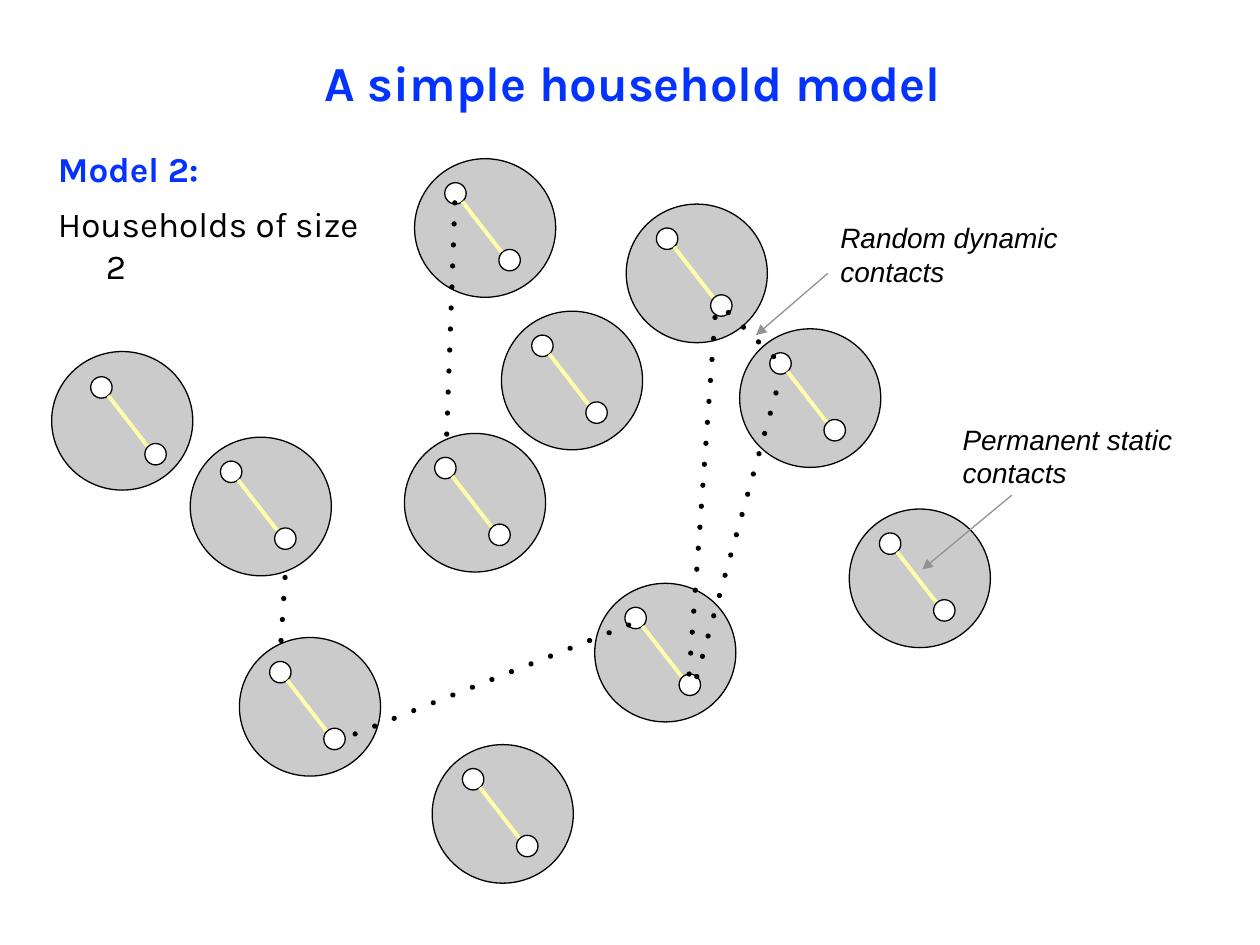
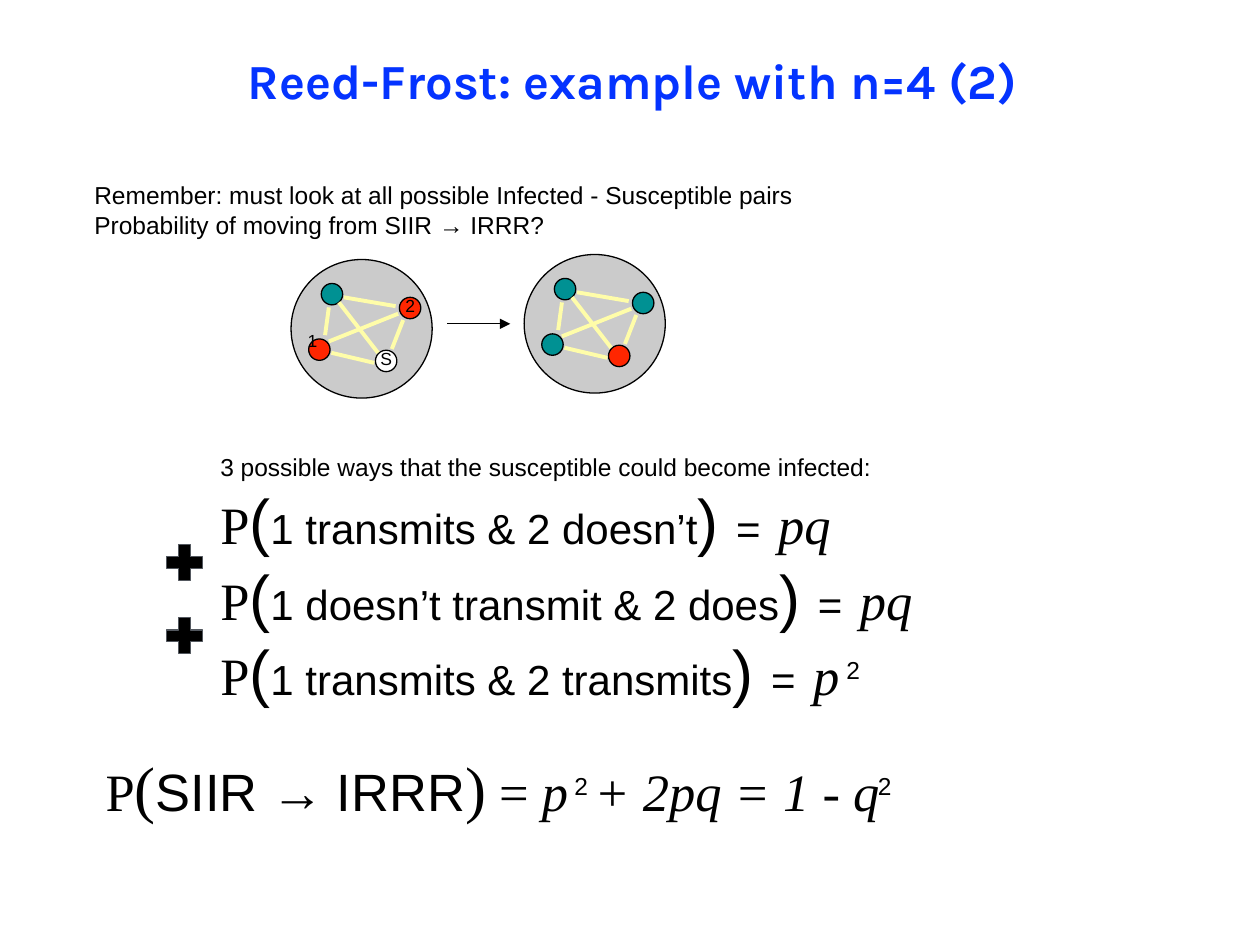
from dataclasses import dataclass, replace

from lxml.etree import SubElement
from pptx import Presentation
from pptx.dml.color import RGBColor
from pptx.enum.shapes import MSO_CONNECTOR, MSO_SHAPE
from pptx.enum.text import MSO_ANCHOR, PP_ALIGN
from pptx.oxml.ns import qn
from pptx.util import Inches, Pt


@dataclass(frozen=True)
class Style:
    size: float
    font: str = "Arial"
    color: str = "000000"
    bold: bool = False
    italic: bool = False
    spacing: float = 0  # extra points after each character


class Theme:
    # Colours
    blue, black, white = "0433FF", "000000", "FFFFFF"
    household, tie, pointer = "CBCBCB", "FFFDA9", "929292"
    recovered, infected, plus_edge = "009193", "FF2600", "53585F"
    # Line widths
    thin, tie_width, dot_width = 0.75, 2.25, 3
    # Type
    title = Style(28, "Karla", blue, bold=True)
    heading = Style(20, "Karla", blue, bold=True)
    lead = Style(20, "Karla")
    note = Style(16, italic=True)
    body = Style(14)
    label = Style(10)
    event = Style(24)
    bracket = Style(36)
    formula = Style(30, "Times New Roman")
    variable = replace(formula, italic=True)
    result = Style(30)
    result_bracket = Style(36, "Times New Roman")


# Household geometry, relative to its top left corner
HOUSEHOLD_SIZE = (1.12, 1.1)
MEMBER_SIZE = (0.17, 0.17)
MEMBERS = [(0.24, 0.19), (0.67, 0.72), (0.14, 0.63), (0.86, 0.3)]
TIES = [
    ((0.38, 0.34), (0.69, 0.74)),
    ((0.30, 0.65), (0.85, 0.43)),
    ((0.32, 0.74), (0.66, 0.82)),
    ((0.30, 0.38), (0.27, 0.60)),
    ((0.89, 0.48), (0.80, 0.71)),
    ((0.83, 0.37), (0.42, 0.30)),
]


def add_text(slide, box, paragraphs, style=Theme.body, align=PP_ALIGN.LEFT,
             inset=0.1, margin=0, indent=0, wrap=True):
    """Each paragraph is a string or a list of (text, style) runs."""
    frame = slide.shapes.add_textbox(*map(Inches, box)).text_frame
    frame.word_wrap = wrap
    frame.vertical_anchor = MSO_ANCHOR.TOP
    frame.margin_left = frame.margin_right = Inches(inset)
    frame.margin_top = frame.margin_bottom = Inches(inset)
    for index, content in enumerate(paragraphs):
        paragraph = frame.add_paragraph() if index else frame.paragraphs[0]
        paragraph.alignment = align
        if margin:
            properties = paragraph._p.get_or_add_pPr()
            properties.set("marL", str(Inches(margin)))
            properties.set("indent", str(Inches(indent)))
        runs = [(content, style)] if isinstance(content, str) else content
        for words, run_style in runs:
            run = paragraph.add_run()
            run.text = words
            run.font.size = Pt(run_style.size)
            run.font.name = run_style.font
            run.font.bold = run_style.bold
            run.font.italic = run_style.italic
            run.font.color.rgb = RGBColor.from_string(run_style.color)
            if run_style.spacing:
                run._r.get_or_add_rPr().set("spc", str(int(run_style.spacing * 100)))


def add_shape(slide, kind, box, fill, edge=Theme.black):
    shape = slide.shapes.add_shape(kind, *map(Inches, box))
    shape.shadow.inherit = False
    shape.fill.solid()
    shape.fill.fore_color.rgb = RGBColor.from_string(fill)
    shape.line.color.rgb = RGBColor.from_string(edge)
    shape.line.width = Pt(Theme.thin)
    return shape


def add_line(slide, start, end, color, width, dotted=False, arrow=False):
    connector = slide.shapes.add_connector(
        MSO_CONNECTOR.STRAIGHT, *map(Inches, (*start, *end)))
    connector.line.color.rgb = RGBColor.from_string(color)
    connector.line.width = Pt(width)
    properties = connector._element.spPr
    line = properties.find(qn("a:ln"))
    if dotted:
        line.set("cap", "rnd")
        SubElement(line, qn("a:prstDash")).set("val", "dot")
    if arrow:
        SubElement(line, qn("a:tailEnd")).set("type", "triangle")
    SubElement(properties, qn("a:effectLst"))


def add_title(slide, title, top):
    add_text(slide, (0, top, 10, 0.58), [title], Theme.title,
             align=PP_ALIGN.CENTER, inset=0.06, margin=0.04)


def add_members(slide, left, top, colors, ties):
    for (x, y), color in zip(MEMBERS, colors):
        add_shape(slide, MSO_SHAPE.OVAL, (left + x, top + y, *MEMBER_SIZE), color)
    for (x1, y1), (x2, y2) in ties:
        add_line(slide, (left + x1, top + y1), (left + x2, top + y2),
                 Theme.tie, Theme.tie_width)


def add_household(slide, left, top, colors, ties, shift=(0, 0)):
    add_shape(slide, MSO_SHAPE.OVAL, (left, top, *HOUSEHOLD_SIZE), Theme.household)
    add_members(slide, left + shift[0], top + shift[1], colors, ties)


def add_pairs(slide, places):
    for left, top, *shift in places:
        add_household(slide, left, top, [Theme.white] * 2, TIES[:1], shift or (0, 0))


def add_contacts(slide, contacts):
    for start, end in contacts:
        add_line(slide, start, end, Theme.black, Theme.dot_width, dotted=True)


def add_callout(slide, left, top, words, start, end):
    add_text(slide, (left, top, 2.26, 0.6), [words], Theme.note,
             inset=0.06, margin=0.04)
    add_line(slide, start, end, Theme.pointer, Theme.thin, arrow=True)


def build_household_model(slide):
    add_title(slide, "A simple household model", 0.36)
    add_text(slide, (0.36, 1.11, 1.71, 0.44), ["Model 2:"], Theme.heading,
             inset=0.06, margin=0.04)
    add_text(slide, (0.36, 1.55, 2.6, 0.44), ["Households of size 2"], Theme.lead,
             inset=0.06, margin=0.42, indent=-0.38)

    # Households and contacts, from back to front
    add_pairs(slide, [(0.41, 2.79, 0.07, 0.01), (3.98, 2.47), (3.21, 3.44),
                      (5.87, 2.61), (4.97, 1.62)])
    add_contacts(slide, [((2.22, 5.25), (2.28, 4.31)),
                         ((6.14, 2.83), (5.76, 2.46))])
    add_pairs(slide, [(3.29, 1.26), (1.51, 3.47), (3.43, 5.91),
                      (4.72, 4.63), (1.9, 5.06), (6.74, 4.04)])
    add_contacts(slide, [((3.61, 1.61), (3.54, 3.61)),
                         ((5.47, 5.35), (5.68, 2.45)),
                         ((5.53, 5.37), (6.2, 2.97)),
                         ((4.99, 4.96), (2.73, 5.86))])

    # Callouts
    add_callout(slide, 6.57, 1.69, "Random dynamic contacts", (6.57, 2.17), (6, 2.66))
    add_callout(slide, 7.54, 3.29, "Permanent static contacts", (8.03, 3.93), (7.32, 4.52))


def add_transition(slide, left, top):
    """SIIR household, arrow, IRRR household."""
    add_household(slide, left, top + 0.04,
                  [Theme.recovered, Theme.white, Theme.infected, Theme.infected], TIES)
    add_line(slide, (left + 1.24, top + 0.55), (left + 1.74, top + 0.55),
             Theme.black, Theme.thin, arrow=True)
    add_household(slide, left + 1.85, top,
                  [Theme.recovered, Theme.infected, Theme.recovered, Theme.recovered], TIES)
    for words, x, y, width, height in [("1", 0.09, 0.58, 0.14, 0.1),
                                       ("2", 0.81, 0.24, 0.27, 0.23),
                                       ("S", 0.61, 0.66, 0.27, 0.23)]:
        add_text(slide, (left + x, top + y, width, height), [words],
                 Theme.label, wrap=False)


def add_exponent(slide, left, top):
    add_text(slide, (left, top, 0.46, 0.38), ["2"])


def probability_row(event, value):
    return [("P", Theme.formula), ("(", Theme.bracket), (event, Theme.event),
            (") ", Theme.bracket), ("=", Theme.event), (" ", Theme.bracket),
            (value, Theme.variable)]


def add_infection_ways(slide, left, top):
    add_text(slide, (left, top, 7.27, 2.42), [
        "3 possible ways that the susceptible could become infected:",
        probability_row("1 transmits & 2 doesn’t", "pq"),
        probability_row("1 doesn’t transmit & 2 does", "pq"),
        probability_row("1 transmits & 2 transmits", "p"),
    ])
    add_exponent(slide, left + 4.97, top + 1.61)
    for row in range(2):
        plus = add_shape(slide, MSO_SHAPE.MATH_PLUS,
                         (left - 0.38, top + 0.78 + 0.58 * row, 0.39, 0.39),
                         Theme.black, Theme.plus_edge)
        plus.adjustments[0] = 0.235


def add_total(slide, left, top):
    exponent_gap = replace(Theme.variable, spacing=7.5)
    add_text(slide, (left, top, 8.85, 0.92), [[
        ("P", Theme.formula), ("(", Theme.result_bracket),
        ("SIIR", Theme.result), (" → ", Theme.formula), ("IRRR", Theme.result),
        (")", Theme.result_bracket), (" = ", Theme.formula),
        ("p", Theme.variable), (" ", exponent_gap),
        ("+ 2pq = 1 - q", Theme.variable),
    ]])
    for x in (3.72, 6.13):
        add_exponent(slide, left + x, top + 0.18)


def build_reed_frost(slide):
    add_title(slide, "Reed-Frost: example with n=4 (2)", 0.34)
    add_text(slide, (0.65, 1.33, 7.7, 0.64), [
        "Remember: must look at all possible Infected - Susceptible pairs",
        "Probability of moving from SIIR → IRRR?",
    ])
    add_transition(slide, 2.31, 2.02)
    add_infection_ways(slide, 1.65, 3.49)
    add_total(slide, 0.74, 5.84)


def main():
    presentation = Presentation()
    presentation.slide_width, presentation.slide_height = Inches(10), Inches(7.5)
    for build in (build_household_model, build_reed_frost):
        build(presentation.slides.add_slide(presentation.slide_layouts[6]))
    presentation.save("out.pptx")


if __name__ == "__main__":
    main()
